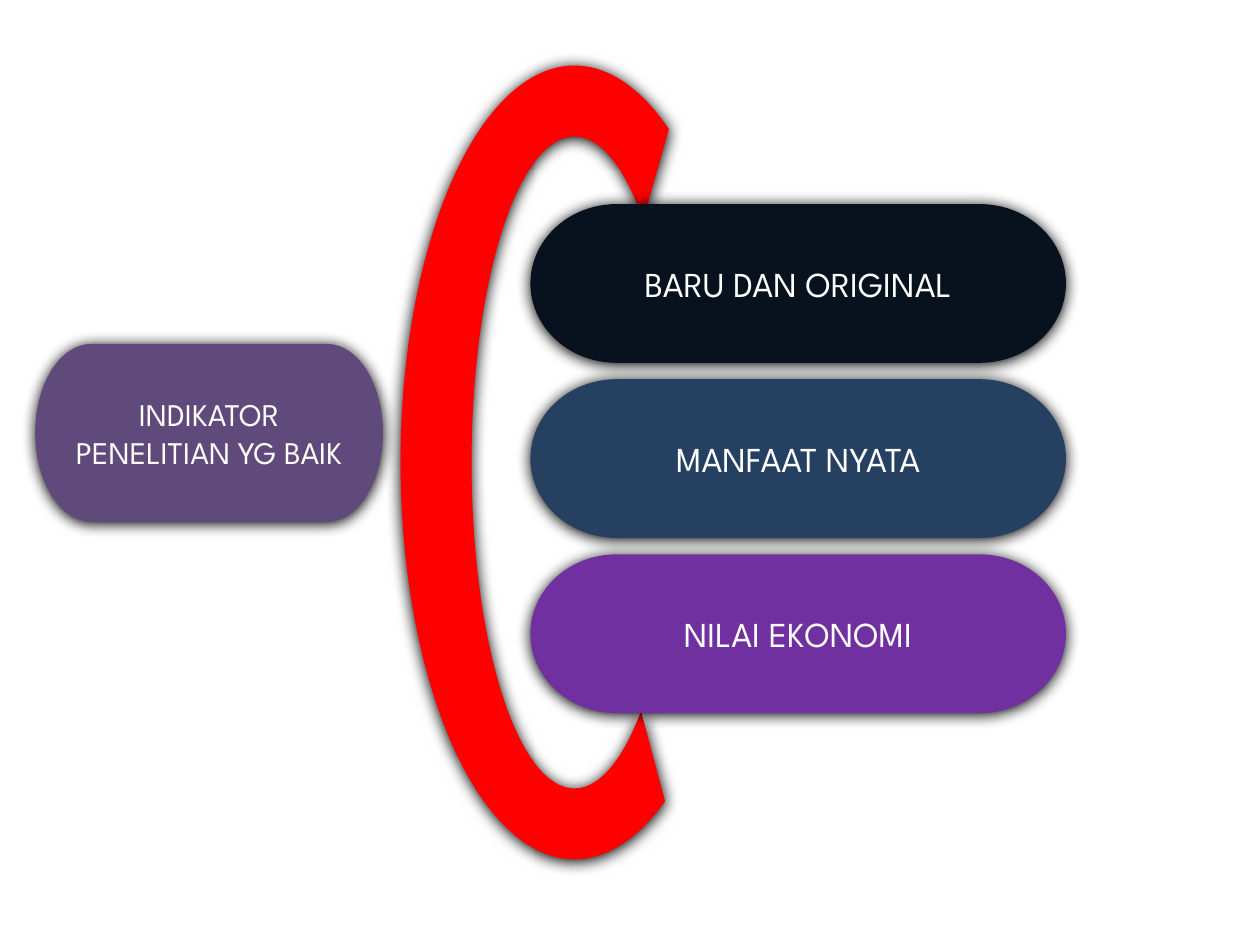
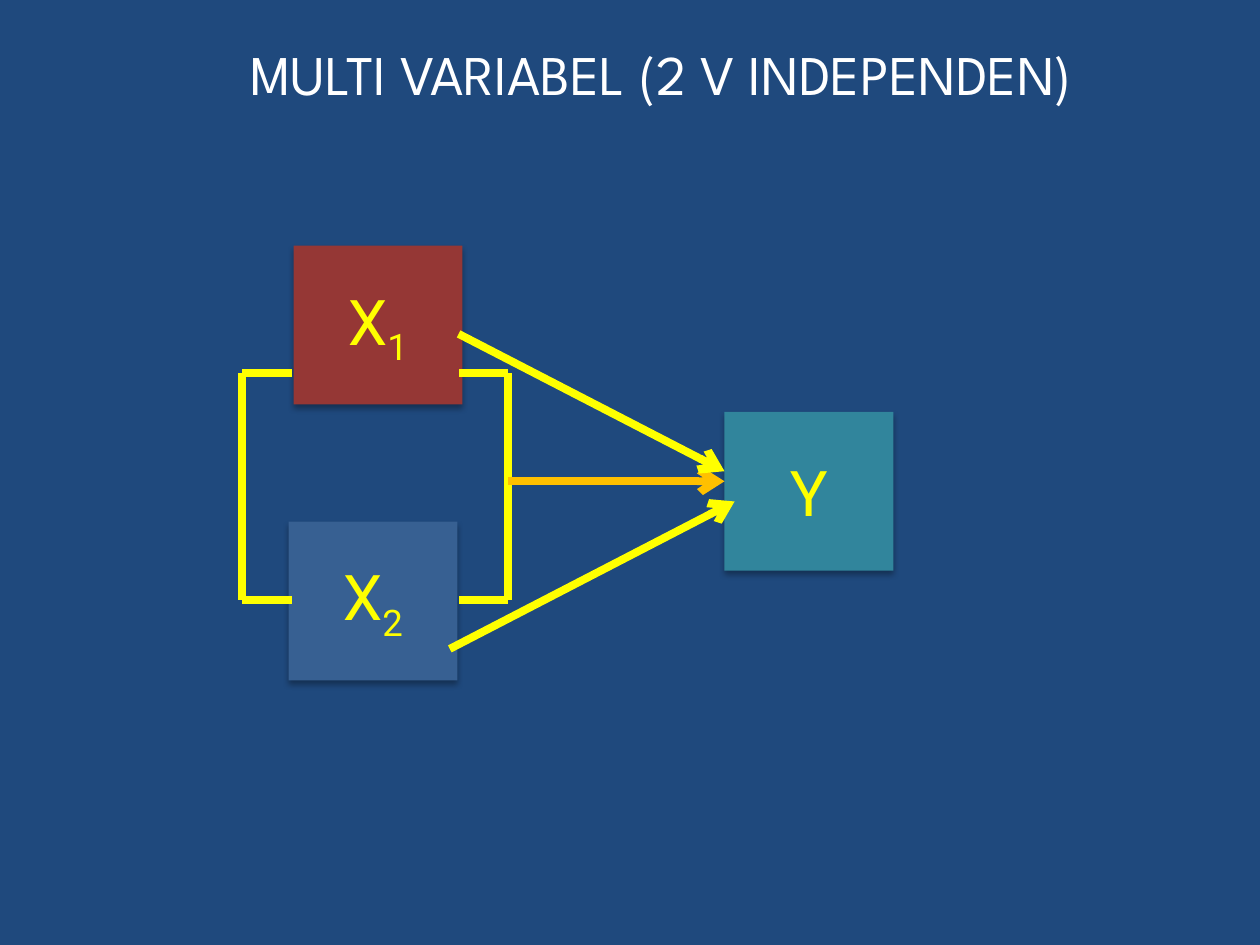
import pptx
import pptx.util
import pptx.dml.color
import pptx.enum.shapes
import pptx.enum.text
import pptx.oxml
import pptx.oxml.ns
from dataclasses import dataclass

Inches = pptx.util.Inches
Pt = pptx.util.Pt
SHAPE = pptx.enum.shapes.MSO_SHAPE
ALIGN = pptx.enum.text.PP_ALIGN
ANCHOR = pptx.enum.text.MSO_ANCHOR
qn = pptx.oxml.ns.qn


@dataclass(frozen=True)
class Theme:
    white: str = "FFFFFF"
    navy: str = "1F497D"
    red: str = "FF0000"
    yellow: str = "FFFF00"
    amber: str = "FFC000"
    heading_font: str = "League Spartan"
    variable_font: str = "Roboto"
    title_size: int = 32
    topic_size: int = 18
    indicator_size: int = 20
    variable_size: int = 36
    line_width: float = 4.5
    glow: tuple = (100, 8.5, 1)
    drop: tuple = (32, 3.5, 2.2)


THEME = Theme()

TOPIC = ("INDIKATOR PENELITIAN YG BAIK", "604A7B", (0.28, 2.73, 2.76, 1.41))
ARC_BOX = (1.41, 2.29, 6.3, 2.76)
ARC_ADJUSTMENTS = (99.015, 9.489, 0.204)
INDICATORS = [
    ("BARU DAN ORIGINAL", "08121F"),
    ("MANFAAT NYATA", "254061"),
    ("NILAI EKONOMI", "7030A0"),
]
INDICATOR_LEFT, INDICATOR_TOP, INDICATOR_PITCH = 4.21, 1.62, 1.39
INDICATOR_SIZE = (4.25, 1.26)

MODEL_TITLE = "MULTI VARIABEL (2 V INDEPENDEN)"
TITLE_BOX = (0.94, -0.02, 8.62, 1.2)
VARIABLE_SIZE = (1.34, 1.26)
VARIABLES = [
    ("X", "1", "953735", (2.33, 1.95)),
    ("X", "2", "376092", (2.29, 4.14)),
    ("Y", "", "31859C", (5.75, 3.27)),
]
BRACKET_TOP, BRACKET_BOTTOM = 2.96, 4.76
BRACKETS = [(1.92, 2.32), (4.03, 3.64)]
EFFECTS = [
    ((4.03, 3.82), (5.75, 3.82), THEME.amber),
    ((3.64, 2.65), (5.75, 3.74), THEME.yellow),
    ((3.57, 5.15), (5.83, 3.98), THEME.yellow),
]


def rgb(color):
    return pptx.dml.color.RGBColor.from_string(color)


def set_background(slide, color):
    slide.background.fill.solid()
    slide.background.fill.fore_color.rgb = rgb(color)


def add_filled(slide, preset, box, color, shadow):
    shape = slide.shapes.add_shape(preset, *map(Inches, box))
    shape.fill.solid()
    shape.fill.fore_color.rgb = rgb(color)
    shape.line.fill.background()
    shape.shadow.inherit = False
    opacity, blur, distance = shadow
    effects = shape._element.spPr.find(qn("a:effectLst"))
    outer = pptx.oxml.ns.nsdecls("a")
    effects.append(pptx.oxml.parse_xml(
        f'<a:outerShdw {outer} blurRad="{Pt(blur)}" dist="{Pt(distance)}" '
        f'dir="5400000" rotWithShape="0"><a:srgbClr val="000000">'
        f'<a:alpha val="{opacity * 1000}"/></a:srgbClr></a:outerShdw>'))
    return shape


def write_label(shape, text, size, font, color, subscript="", wrap=True):
    frame = shape.text_frame
    frame.word_wrap = wrap
    frame.vertical_anchor = ANCHOR.MIDDLE
    paragraph = frame.paragraphs[0]
    paragraph.alignment = ALIGN.CENTER
    for part, baseline in ((text, 0), (subscript, -25000)):
        if not part:
            continue
        run = paragraph.add_run()
        run.text = part
        run.font.size = Pt(size)
        run.font.name = font
        run.font.color.rgb = rgb(color)
        if baseline:
            run._r.get_or_add_rPr().set("baseline", str(baseline))


def add_line(shapes, start, end, color, arrow=False):
    line = shapes.add_connector(
        pptx.enum.shapes.MSO_CONNECTOR.STRAIGHT, *map(Inches, start + end))
    line.line.color.rgb = rgb(color)
    line.line.width = Pt(THEME.line_width)
    properties = line._element.spPr
    if arrow:
        tail = properties.find(qn("a:ln")).makeelement(qn("a:tailEnd"), {"type": "arrow"})
        properties.find(qn("a:ln")).append(tail)
    properties.append(properties.makeelement(qn("a:effectLst"), {}))


def build_indicators(deck):
    slide = deck.slides.add_slide(deck.slide_layouts[6])
    set_background(slide, THEME.white)
    arc = add_filled(slide, SHAPE.BLOCK_ARC, ARC_BOX, THEME.red, THEME.glow)
    arc.rotation = 270
    for index, value in enumerate(ARC_ADJUSTMENTS):
        arc.adjustments[index] = value
    pills = [(*TOPIC, THEME.topic_size)]
    for index, (text, color) in enumerate(INDICATORS):
        top = INDICATOR_TOP + index * INDICATOR_PITCH
        box = (INDICATOR_LEFT, top, *INDICATOR_SIZE)
        pills.append((text, color, box, THEME.indicator_size))
    for text, color, box, size in pills:
        pill = add_filled(slide, SHAPE.FLOWCHART_TERMINATOR, box, color, THEME.glow)
        write_label(pill, text, size, THEME.heading_font, THEME.white)


def build_model(deck):
    slide = deck.slides.add_slide(deck.slide_layouts[5])
    set_background(slide, THEME.navy)
    title = slide.shapes.title
    title.left, title.top, title.width, title.height = map(Inches, TITLE_BOX)
    write_label(title, MODEL_TITLE, THEME.title_size, THEME.heading_font, THEME.white)
    for letter, number, color, corner in VARIABLES:
        square = add_filled(slide, SHAPE.RECTANGLE, corner + VARIABLE_SIZE, color, THEME.drop)
        write_label(square, letter, THEME.variable_size, THEME.variable_font,
                    THEME.yellow, number, wrap=False)
    for spine, tip in BRACKETS:
        bracket = slide.shapes.add_group_shape().shapes
        for level in (BRACKET_TOP, BRACKET_BOTTOM):
            add_line(bracket, (spine, level), (tip, level), THEME.yellow)
        add_line(bracket, (spine, BRACKET_TOP), (spine, BRACKET_BOTTOM), THEME.yellow)
    for start, end, color in EFFECTS:
        add_line(slide.shapes, start, end, color, arrow=True)


def main():
    deck = pptx.Presentation()
    deck.slide_width, deck.slide_height = Inches(10), Inches(7.5)
    build_indicators(deck)
    build_model(deck)
    deck.save("out.pptx")


if __name__ == "__main__":
    main()
